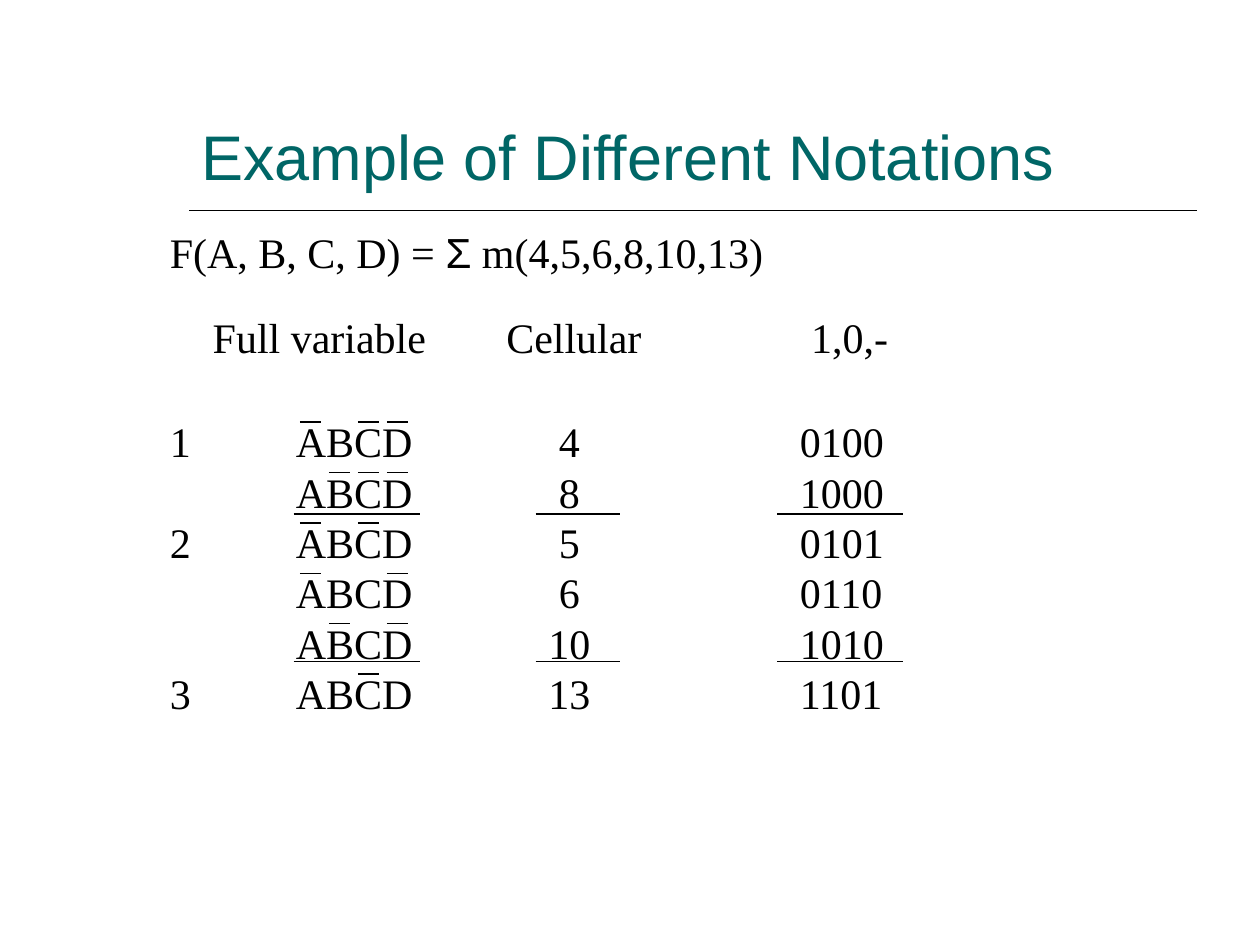
from lxml.etree import SubElement
from pptx import Presentation
from pptx.dml.color import RGBColor
from pptx.enum.shapes import MSO_CONNECTOR as Connector
from pptx.enum.text import MSO_ANCHOR as Anchor
from pptx.oxml.ns import qn
from pptx.util import Inches, Pt

BLACK = RGBColor(0x00, 0x00, 0x00)
TEAL = RGBColor(0x00, 0x66, 0x66)

TITLE = [[("Example of Different Notations", "Arial")]]
FUNCTION = [[("F(A, B, C, D) = ", "Times New Roman"), ("Σ", "Arial"),
             (" m(4,5,6,8,10,13)", "Times New Roman")]]
HEADINGS = ("Full variable", "Cellular", "1,0,-")
MINTERMS = [
    ("1", "ACD", "4", "0100"),
    ("", "BCD", "8", "1000"),
    ("2", "AC", "5", "0101"),
    ("", "AD", "6", "0110"),
    ("", "BD", "10", "1010"),
    ("3", "C", "13", "1101"),
]
VARIABLES = "ABCD"

HEADING_TABS = [(2.33, "l"), (4.75, "l")]
MINTERM_TABS = [(1, "l"), (3.17, "ctr"), (5, "l")]
BAR_LEFT, BAR_STEP, BAR_WIDTH = 2.38, 0.23, 0.17
BAR_TOP, ROW_HEIGHT = 3.35, 0.4
GROUP_RULE_TOPS = (4.08, 5.25)
GROUP_RULE_SPANS = ((2.33, 3.33), (4.25, 4.92), (6.17, 7.17))


def add_text(slide, box, paragraphs, tabs=(), size=24, color=BLACK, anchor=Anchor.MIDDLE):
    frame = slide.shapes.add_textbox(*map(Inches, box)).text_frame
    frame.word_wrap = True
    frame.vertical_anchor = anchor
    for index, runs in enumerate(paragraphs):
        paragraph = frame.add_paragraph() if index else frame.paragraphs[0]
        if tabs:
            tab_list = SubElement(paragraph._p.get_or_add_pPr(), qn("a:tabLst"))
            for position, alignment in tabs:
                SubElement(tab_list, qn("a:tab"), pos=str(Inches(position)), algn=alignment)
        for text, font_name in runs:
            run = paragraph.add_run()
            run.text = text
            for key, value in {"name": font_name, "size": Pt(size)}.items():
                setattr(run.font, key, value)
            run.font.color.rgb = color


def add_rule(slide, left, right, top, width=0.75):
    rule = slide.shapes.add_connector(
        Connector.STRAIGHT, Inches(left), Inches(top), Inches(right), Inches(top))
    rule.line.color.rgb = BLACK
    rule.line.width = Pt(width)
    SubElement(rule._element.spPr, qn("a:effectLst"))


def tabbed(cells):
    return [("\t".join(cells), "Times New Roman")]


def main():
    deck = Presentation()
    deck.slide_width, deck.slide_height = Inches(10), Inches(7.5)
    slide = deck.slides.add_slide(deck.slide_layouts[6])

    add_rule(slide, 1.5, 9.5, 1.67, width=1)
    add_text(slide, (1.5, 0.33, 8, 1.25), TITLE, size=36, color=TEAL, anchor=Anchor.BOTTOM)
    add_text(slide, (1.25, 1.75, 5.5, 0.5), FUNCTION)
    add_text(slide, (1.59, 2.42, 6, 0.5), [tabbed(HEADINGS)], HEADING_TABS)
    rows = [tabbed((group, VARIABLES, cell, bits)) for group, _, cell, bits in MINTERMS]
    add_text(slide, (1.25, 3.25, 6.25, 2.5), rows, MINTERM_TABS)

    for row, (_, complemented, _, _) in enumerate(MINTERMS):
        for variable in complemented:
            left = BAR_LEFT + VARIABLES.index(variable) * BAR_STEP
            add_rule(slide, left, left + BAR_WIDTH, BAR_TOP + row * ROW_HEIGHT)

    for top in GROUP_RULE_TOPS:
        for left, right in GROUP_RULE_SPANS:
            add_rule(slide, left, right, top)

    deck.save("out.pptx")


if __name__ == "__main__":
    main()
